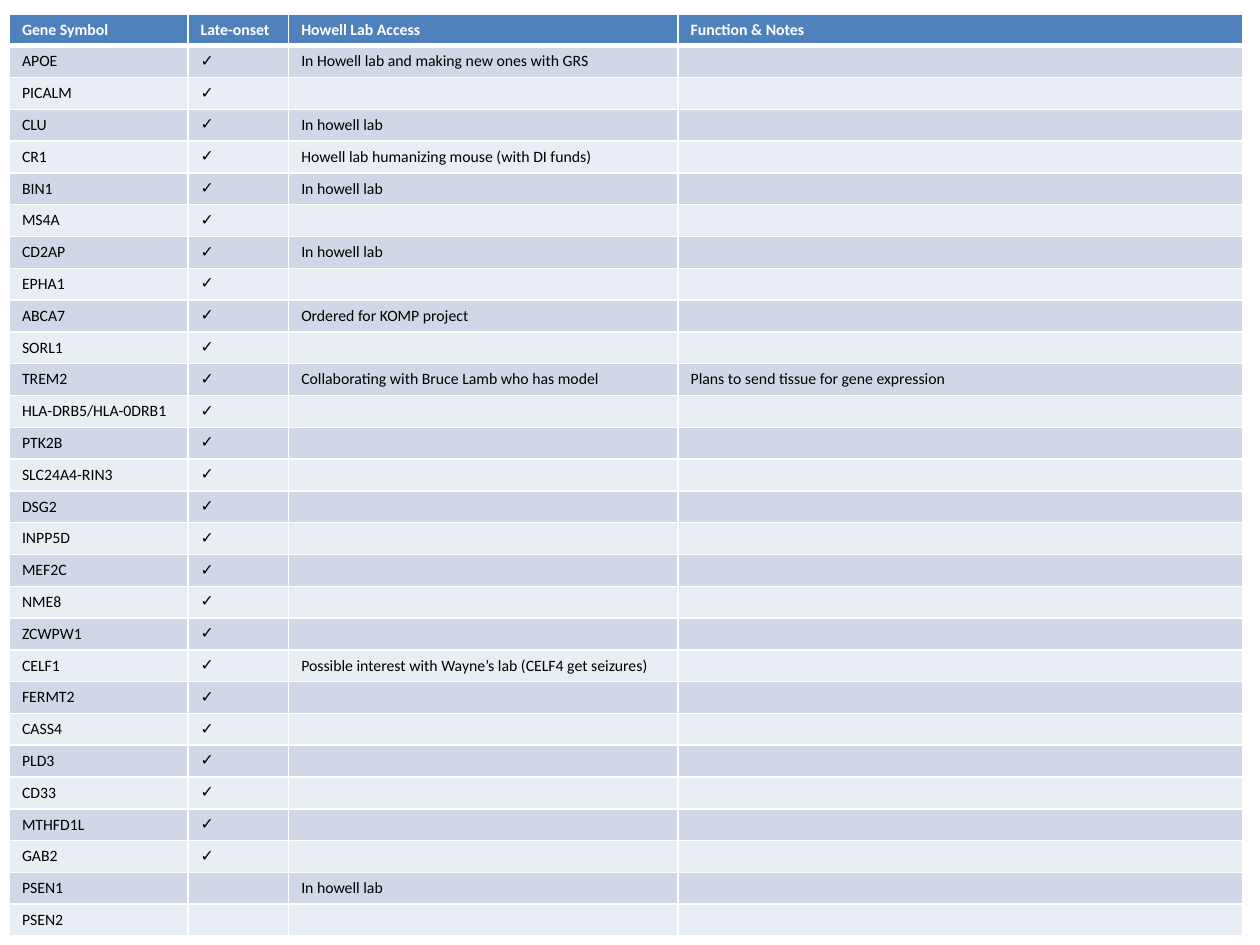
from lxml import etree
from pptx import Presentation
from pptx.dml.color import RGBColor
from pptx.oxml.ns import qn
from pptx.util import Cm, Pt

CHECK = "✓"
TEXT_SIZE = 9
COLUMN_WIDTHS = (3.6, 2.03, 7.85, 11.38)
HEADINGS = ("Gene Symbol", "Late-onset", "Howell Lab Access", "Function & Notes")
LATE_ONSET_GENES = (
    "APOE", "PICALM", "CLU", "CR1", "BIN1", "MS4A", "CD2AP", "EPHA1", "ABCA7",
    "SORL1", "TREM2", "HLA-DRB5/HLA-0DRB1", "PTK2B", "SLC24A4-RIN3", "DSG2",
    "INPP5D", "MEF2C", "NME8", "ZCWPW1", "CELF1", "FERMT2", "CASS4", "PLD3",
    "CD33", "MTHFD1L", "GAB2",
)
OTHER_GENES = ("PSEN1", "PSEN2")
LAB_ACCESS = {
    "APOE": "In Howell lab and making new ones with GRS",
    "CLU": "In howell lab",
    "CR1": "Howell lab humanizing mouse (with DI funds)",
    "BIN1": "In howell lab",
    "CD2AP": "In howell lab",
    "ABCA7": "Ordered for KOMP project",
    "TREM2": "Collaborating with Bruce Lamb who has model",
    "CELF1": "Possible interest with Wayne’s lab (CELF4 get seizures)",
    "PSEN1": "In howell lab",
}
NOTES = {"TREM2": "Plans to send tissue for gene expression"}
HEADER_FORMAT = {"size": Pt(TEXT_SIZE), "bold": True, "name": "Calibri"}
BODY_FORMAT = {"size": Pt(TEXT_SIZE), "bold": False, "name": "Calibri"}
CHECK_FORMAT = {**BODY_FORMAT, "name": "Arial"}


def color(hex_value):
    """Return the colour for a hex string."""
    return RGBColor.from_string(hex_value)


def gene_rows():
    """Return the body rows of the gene table."""
    return [
        (gene, CHECK if gene in LATE_ONSET_GENES else "",
         LAB_ACCESS.get(gene, ""), NOTES.get(gene, ""))
        for gene in LATE_ONSET_GENES + OTHER_GENES
    ]


def set_borders(cell, bottom_width):
    """Draw white borders round a cell."""
    properties = cell._tc.get_or_add_tcPr()
    widths = {"a:lnL": 1, "a:lnR": 1, "a:lnT": 1, "a:lnB": bottom_width}
    for position, (edge, width) in enumerate(widths.items()):
        line = etree.Element(qn(edge), w=str(Pt(width)))
        paint = etree.SubElement(line, qn("a:solidFill"))
        etree.SubElement(paint, qn("a:srgbClr"), val="FFFFFF")
        properties.insert(position, line)


def fill_cell(cell, wording, text_format, text_color, fill_color, bottom_width=1):
    """Write, colour and border one cell."""
    cell.fill.solid()
    cell.fill.fore_color.rgb = color(fill_color)
    set_borders(cell, bottom_width)
    paragraph = cell.text_frame.paragraphs[0]
    if wording:
        run = paragraph.add_run()
        run.text = wording
        for attribute, value in text_format.items():
            setattr(run.font, attribute, value)
        run.font.color.rgb = color(text_color)
    else:
        etree.SubElement(paragraph._p, qn("a:endParaRPr"), sz=str(TEXT_SIZE * 100))


def add_gene_table(slide, left, top, width, height):
    """Place the gene table in the given box."""
    rows = gene_rows()
    table = slide.shapes.add_table(
        len(rows) + 1, len(HEADINGS), Cm(left), Cm(top), Cm(width), Cm(height)
    ).table
    for column, share in zip(table.columns, COLUMN_WIDTHS):
        column.width = Cm(width * share / sum(COLUMN_WIDTHS))
    for index, heading in enumerate(HEADINGS):
        fill_cell(table.cell(0, index), heading, HEADER_FORMAT, "FFFFFF", "4F81BD", 3)
    for number, row in enumerate(rows, start=1):
        band = "D0D8E8" if number % 2 else "E9EDF4"
        for index, wording in enumerate(row):
            text_format = CHECK_FORMAT if wording == CHECK else BODY_FORMAT
            fill_cell(table.cell(number, index), wording, text_format, "000000", band)


def main():
    """Build and save the slide."""
    presentation = Presentation()
    presentation.slide_width = Cm(25.4)
    presentation.slide_height = Cm(19.05)
    slide = presentation.slides.add_slide(presentation.slide_layouts[6])
    add_gene_table(slide, left=0.19, top=0.28, width=24.86, height=18.42)
    presentation.save("out.pptx")


if __name__ == "__main__":
    main()
